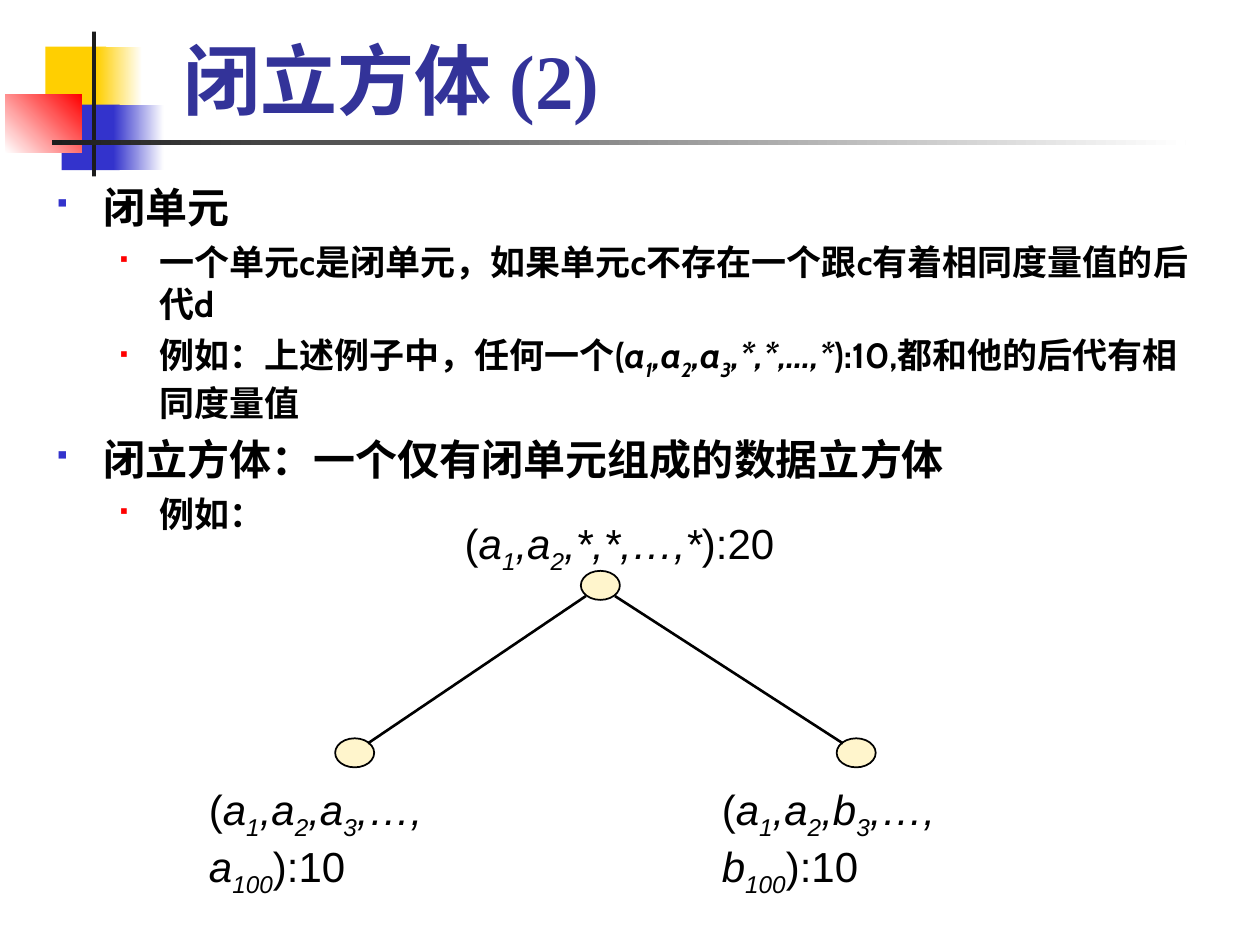
"""Build the closed cube slide: two levels of bullets and a small cell tree."""
from typing import NamedTuple, Optional

from lxml import etree
from pptx import Presentation
from pptx.dml.color import RGBColor
from pptx.enum.shapes import MSO_CONNECTOR, MSO_SHAPE
from pptx.enum.text import MSO_ANCHOR, MSO_AUTO_SIZE, PP_ALIGN
from pptx.oxml.ns import qn
from pptx.util import Pt

RECT, OVAL = MSO_SHAPE.RECTANGLE, MSO_SHAPE.OVAL
STRAIGHT = MSO_CONNECTOR.STRAIGHT
TOP, BOTTOM = MSO_ANCHOR.TOP, MSO_ANCHOR.BOTTOM
LEFT = PP_ALIGN.LEFT
FIXED = MSO_AUTO_SIZE.NONE

BLACK = RGBColor(0x00, 0x00, 0x00)
WHITE = RGBColor(0xFF, 0xFF, 0xFF)
NAVY = RGBColor(0x33, 0x33, 0x99)
BLUE = RGBColor(0x33, 0x33, 0xCC)
RED = RGBColor(0xFF, 0x00, 0x00)
GOLD = RGBColor(0xFF, 0xCF, 0x01)
DARK = RGBColor(0x1C, 0x1C, 0x1C)
CREAM = RGBColor(0xFF, 0xF5, 0xCC)
SERIF, CABIN, ARIAL = "Times New Roman", "Cabin", "Arial"


class Box(NamedTuple):
    left: float
    top: float
    width: float
    height: float


class Block(NamedTuple):
    box: Box
    start: RGBColor
    end: Optional[RGBColor] = None
    angle: float = 0


class Run(NamedTuple):
    text: str
    italic: bool = False
    sub: bool = False


class Level(NamedTuple):
    depth: int
    size: float
    font: str
    margin: float
    indent: float
    before: float
    color: RGBColor
    scale: int


class Item(NamedTuple):
    level: Level
    runs: list


class Label(NamedTuple):
    box: Box
    runs: list


class Edge(NamedTuple):
    x1: float
    y1: float
    x2: float
    y2: float


def terms(*parts: str) -> list:
    """Make italic runs that alternate between base and subscript."""
    return [Run(part, True, i % 2 == 1) for i, part in enumerate(parts)]


MAIN = Level(0, 24, SERIF, 27, -27, 6, BLUE, 60)
SUB = Level(1, 20, CABIN, 58.5, -22.5, 5, RED, 55)

BLOCKS = [
    Block(Box(26, 26.6, 34.6, 37.4), GOLD),
    Block(Box(55.4, 26.6, 25.9, 37.4), GOLD, WHITE),
    Block(Box(35.3, 59.8, 33.1, 37.4), BLUE),
    Block(Box(64.8, 59.8, 28.8, 37.4), BLUE, WHITE),
    Block(Box(2.9, 54, 43.9, 33.1), WHITE, RED, 45),
    Block(Box(52.6, 18, 2.2, 82.8), DARK),
    Block(Box(29.5, 79.9, 648, 2.9), DARK, WHITE),
]
ITEMS = [
    Item(MAIN, [Run("闭单元")]),
    Item(SUB, [Run("一个单元c是闭单元，如果单元c不存在一个跟c有着相同度量值的后代d")]),
    Item(SUB, [Run("例如：上述例子中，任何一个("),
               *terms("a", "1", ",a", "2", ",a", "3", ",*,*,…,*"),
               Run("):10,都和他的后代有相同度量值")]),
    Item(MAIN, [Run("闭立方体：一个仅有闭单元组成的数据立方体")]),
    Item(SUB, [Run("例如：")]),
]
NODES = [Box(x, y, 22.3, 16.6)
         for x, y in ((331.9, 326.2), (478.1, 421.9), (191.5, 421.9))]
EDGES = [Edge(334.8, 340.6, 210.2, 424.8), Edge(351.4, 340.6, 481.7, 424.8)]
LABELS = [
    Label(Box(258.5, 292.3, 191.5, 40.3),
          [Run("("), *terms("a", "1", ",a", "2", ",*,*,…,*"), Run("):20")]),
] + [
    Label(Box(x, 444.2, 191.5, 72.7),
          [Run("("),
           *terms("a", "1", ",a", "2", f",{key}", "3", f",…, {key}", "100"),
           Run("):10")])
    for x, key in ((112.3, "a"), (405.4, "b"))
]


def place(shape, box: Box) -> None:
    """Move and size a shape."""
    shape.left, shape.top, shape.width, shape.height = map(Pt, box)


def write(para, runs: list, font: str, size: float, color: RGBColor,
          bold: bool = False) -> None:
    """Add styled runs to a paragraph."""
    for part in runs:
        run = para.add_run()
        run.text = part.text
        face = run.font
        face.name, face.size, face.bold = font, Pt(size), bold
        face.italic = part.italic
        face.color.rgb = color
        if part.sub:
            run._r.get_or_add_rPr().set("baseline", "-25000")


def bullet(para, level: Level) -> None:
    """Give a paragraph a coloured square and a hanging indent."""
    props = para._p.get_or_add_pPr()
    props.set("marL", str(Pt(level.margin)))
    props.set("indent", str(Pt(level.indent)))
    tint = etree.SubElement(props, qn("a:buClr"))
    etree.SubElement(tint, qn("a:srgbClr"), val=str(level.color))
    etree.SubElement(props, qn("a:buSzPct"), val=str(level.scale * 1000))
    etree.SubElement(props, qn("a:buFont"), typeface="Wingdings", charset="2")
    etree.SubElement(props, qn("a:buChar"), char="§")


def draw_block(slide, block: Block) -> None:
    """Draw a plain or fading block."""
    shape = slide.shapes.add_shape(RECT, *map(Pt, block.box))
    shape.shadow.inherit = False
    shape.line.fill.background()
    if block.end is None:
        shape.fill.solid()
        shape.fill.fore_color.rgb = block.start
        return
    shape.fill.gradient()
    shape.fill.gradient_angle = block.angle
    for stop, color, spot in zip(shape.fill.gradient_stops,
                                 (block.start, block.end), (0, 1)):
        stop.color.rgb = color
        stop.position = spot


def draw_node(slide, box: Box) -> None:
    """Draw a tree node."""
    node = slide.shapes.add_shape(OVAL, *map(Pt, box))
    node.shadow.inherit = False
    node.fill.solid()
    node.fill.fore_color.rgb = CREAM
    node.line.color.rgb = BLACK
    node.line.width = Pt(1)


def draw_edge(slide, edge: Edge) -> None:
    """Draw a line between two nodes."""
    line = slide.shapes.add_connector(STRAIGHT, *map(Pt, edge))
    line.line.color.rgb = BLACK
    line.line.width = Pt(1.5)
    etree.SubElement(line._element.spPr, qn("a:effectLst"))


def draw_label(slide, label: Label) -> None:
    """Write the text of a cell."""
    frame = slide.shapes.add_textbox(*map(Pt, label.box)).text_frame
    frame.word_wrap = True
    write(frame.paragraphs[0], label.runs, ARIAL, 24, BLACK)


def fill_title(slide) -> None:
    """Set the slide title."""
    title = slide.shapes.title
    place(title, Box(97.9, 3.6, 613.4, 71.3))
    frame = title.text_frame
    frame.auto_size, frame.vertical_anchor = FIXED, BOTTOM
    para = frame.paragraphs[0]
    para.alignment = LEFT
    write(para, [Run("闭立方体 (2)")], SERIF, 44, NAVY, True)


def fill_body(slide) -> None:
    """Set the bulleted list."""
    body = slide.placeholders[1]
    place(body, Box(25.2, 100.1, 668.9, 324))
    frame = body.text_frame
    frame.auto_size, frame.vertical_anchor = FIXED, TOP
    for i, (level, runs) in enumerate(ITEMS):
        para = frame.add_paragraph() if i else frame.paragraphs[0]
        para.level = level.depth
        bullet(para, level)
        para.space_before = Pt(level.before if i else 0)
        write(para, runs, level.font, level.size, BLACK, True)


def main() -> None:
    """Build and save the slide."""
    deck = Presentation()
    deck.slide_width, deck.slide_height = Pt(720), Pt(540)
    slide = deck.slides.add_slide(deck.slide_layouts[1])
    for draw, parts in ((draw_block, BLOCKS), (draw_node, NODES),
                        (draw_edge, EDGES), (draw_label, LABELS)):
        for part in parts:
            draw(slide, part)
    fill_title(slide)
    fill_body(slide)
    deck.save("out.pptx")


if __name__ == "__main__":
    main()
